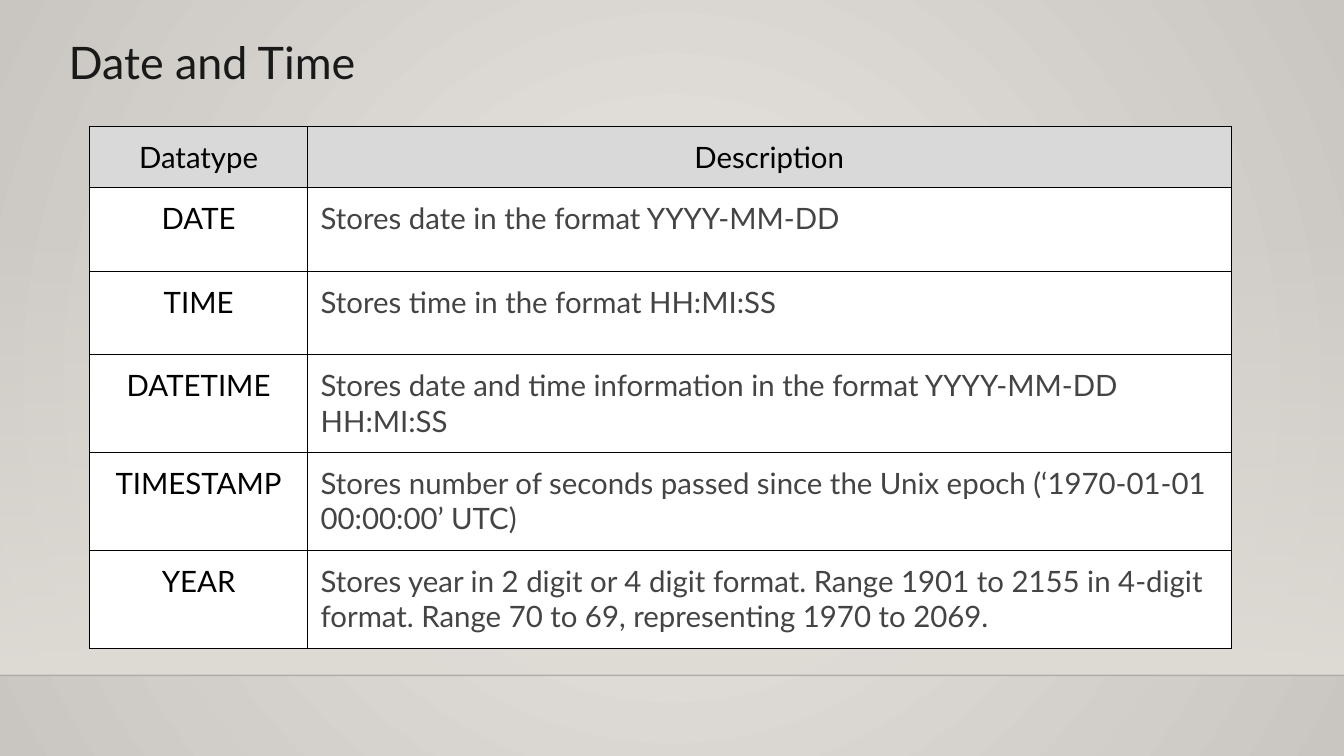
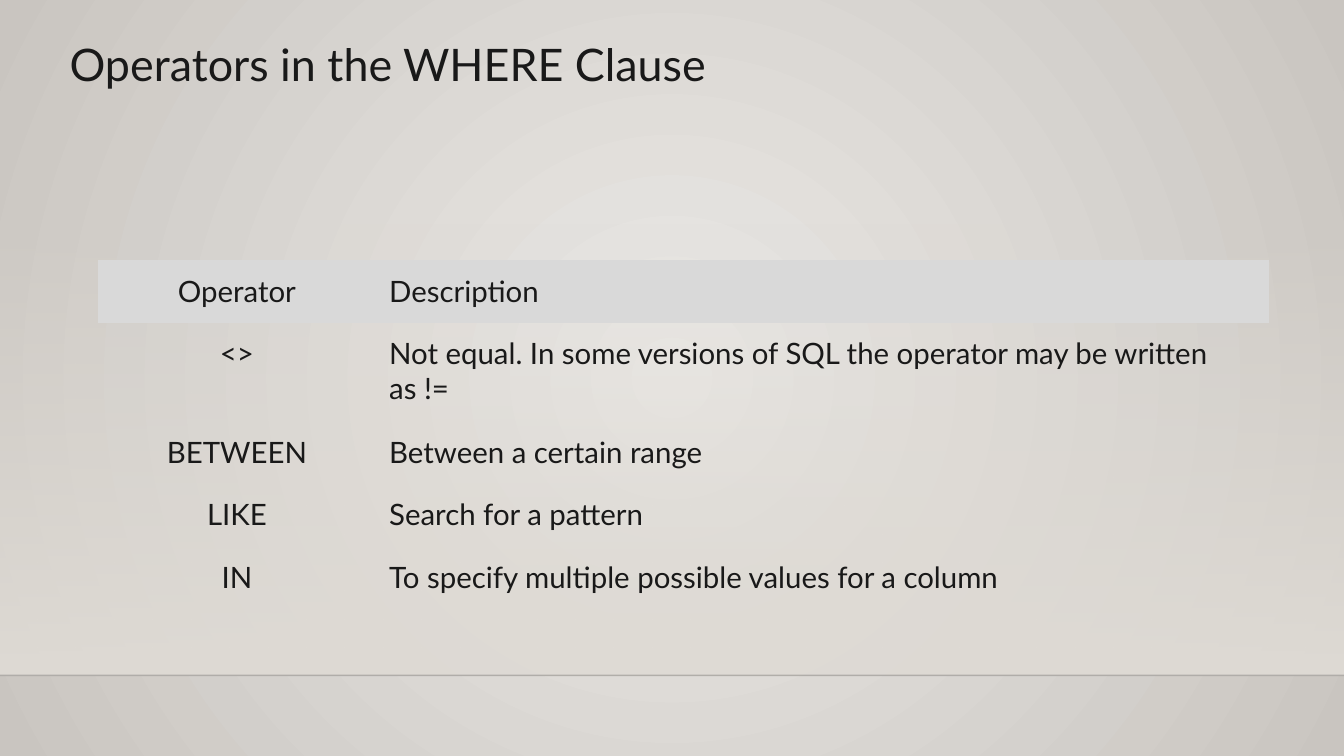
import pptx
import pptx.dml.color
import pptx.enum.shapes
import pptx.enum.text
import pptx.oxml
import pptx.oxml.ns
import pptx.util
from pptx.util import Inches

# Content
SLIDES = [
    {
        "title": "Date and Time",
        "title_at": (0.55, 0.21),
        "table_at": (0.89, 1.25),
        "columns": [2.16, 9.16],
        "rows": [0.61, 0.83, 0.83, 0.97, 0.97, 0.97],
        "header_align": ["CENTER", "CENTER"],
        "text_colors": ["000000", "444444"],
        "header_color": "000000",
        "body_fill": "FFFFFF",
        "border": "000000",
        "cells": [
            ("Datatype", "Description"),
            ("DATE", "Stores date in the format YYYY-MM-DD"),
            ("TIME", "Stores time in the format HH:MI:SS"),
            ("DATETIME", "Stores date and time information in the format YYYY-MM-DD HH:MI:SS"),
            ("TIMESTAMP", "Stores number of seconds passed since the Unix epoch "
                          "(‘1970-01-01 00:00:00’ UTC)"),
            ("YEAR", "Stores year in 2 digit or 4 digit format. Range 1901 to 2155 in "
                     "4-digit format. Range 70 to 69, representing 1970 to 2069."),
        ],
    },
    {
        "title": "Operators in the WHERE Clause",
        "title_at": (0.56, 0.23),
        "table_at": (0.97, 2.58),
        "columns": [2.76, 8.86],
        "rows": [0.62, 0.98, 0.62, 0.62, 0.62],
        "header_align": ["CENTER", "LEFT"],
        "text_colors": ["191919", "191919"],
        "header_color": "191919",
        "body_fill": None,
        "border": None,
        "cells": [
            ("Operator", "Description"),
            ("<>", "Not equal. In some versions of SQL the operator may be written as !="),
            ("BETWEEN", "Between a certain range"),
            ("LIKE", "Search for a pattern"),
            ("IN", "To specify multiple possible values for a column"),
        ],
    },
]

# Shared style
WIDTH, HEIGHT = 13.33, 7.5
FONT = "Lato"
TITLE_COLOR, HEADER_FILL, BAND_COLOR = "191919", "D9D9D9", "DFDBD5"
BAND_TOP, BAND_BOTTOM = 2.21, 6.7
MARGIN = Inches(0.13)
PLAIN_TABLE_STYLE = "{2D5ABB26-0587-4C30-8999-92F81FD0307C}"
CIRCLE = ('<a:path path="circle"><a:fillToRect l="50000" t="50000" '
          'r="50000" b="50000"/></a:path>')
DOWNWARD = '<a:lin ang="5400000" scaled="0"/>'


def rgb(color):
    return pptx.dml.color.RGBColor.from_string(color)


def xml(tag, attributes="", content=""):
    namespace = pptx.oxml.ns.nsdecls("a")
    return pptx.oxml.parse_xml(f"<a:{tag} {namespace} {attributes}>{content}</a:{tag}>")


def set_gradient(fill, parent, stops, direction):
    """Fill with (position, colour, opacity) stops, all but the colour in percent."""
    fill.solid()
    marks = "".join(
        f'<a:gs pos="{position * 1000}"><a:srgbClr val="{color}">'
        f'<a:alpha val="{opacity * 1000}"/></a:srgbClr></a:gs>'
        for position, color, opacity in stops)
    gradient = xml("gradFill", 'rotWithShape="1"', f"<a:gsLst>{marks}</a:gsLst>{direction}")
    solid = next(parent.iter(pptx.oxml.ns.qn("a:solidFill")))
    solid.getparent().replace(solid, gradient)


def set_margins(target):
    target.margin_left = target.margin_right = MARGIN
    target.margin_top = target.margin_bottom = MARGIN


def write(frame, text, size, color, align="LEFT"):
    para = frame.paragraphs[0]
    para.text = text
    para.alignment = getattr(pptx.enum.text.PP_ALIGN, align)
    para.font.name = FONT
    para.font.size = pptx.util.Pt(size)
    para.font.color.rgb = rgb(color)


def add_backdrop(page):
    # Band that fades in towards the floor line
    band = page.shapes.add_shape(
        pptx.enum.shapes.MSO_SHAPE.RECTANGLE, 0, Inches(BAND_TOP),
        Inches(WIDTH), Inches(BAND_BOTTOM - BAND_TOP))
    band.shadow.inherit = False
    band.line.fill.background()
    set_gradient(band.fill, band.element.spPr,
                 [(0, BAND_COLOR, 0), (100, BAND_COLOR, 100)], DOWNWARD)

    # Floor line
    floor = page.shapes.add_connector(
        pptx.enum.shapes.MSO_CONNECTOR.STRAIGHT, 0, Inches(BAND_BOTTOM),
        Inches(WIDTH), Inches(BAND_BOTTOM))
    floor.line.width = pptx.util.Pt(1)
    floor.line.color.rgb = rgb("000001")
    color = next(floor.element.spPr.iter(pptx.oxml.ns.qn("a:srgbClr")))
    color.append(xml("alpha", 'val="20000"'))
    floor.element.spPr.append(xml("effectLst"))


def add_title(page, text, at):
    left, top = at
    box = page.shapes.add_textbox(Inches(left), Inches(top), Inches(10.86), Inches(0.77))
    box.text_frame.word_wrap = True
    set_margins(box.text_frame)
    write(box.text_frame, text, 32, TITLE_COLOR)


def add_borders(cell, color):
    properties = cell._tc.get_or_add_tcPr()
    for index, side in enumerate(("lnL", "lnR", "lnT", "lnB")):
        line = xml(side, f'w="{pptx.util.Pt(0.75)}"',
                   f'<a:solidFill><a:srgbClr val="{color}"/></a:solidFill>')
        properties.insert(index, line)


def add_table(page, content):
    left, top = content["table_at"]
    columns, rows = content["columns"], content["rows"]
    frame = page.shapes.add_table(
        len(rows), len(columns), Inches(left), Inches(top),
        Inches(sum(columns)), Inches(sum(rows)))
    table = frame.table
    table.first_row = table.horz_banding = False
    next(frame.element.iter(pptx.oxml.ns.qn("a:tableStyleId"))).text = PLAIN_TABLE_STYLE
    for column, width in zip(table.columns, columns):
        column.width = Inches(width)
    for row, height in zip(table.rows, rows):
        row.height = Inches(height)

    for row_index, texts in enumerate(content["cells"]):
        is_header = row_index == 0
        aligns = content["header_align"] if is_header else ["CENTER", "LEFT"]
        fill = HEADER_FILL if is_header else content["body_fill"]
        for column_index, text in enumerate(texts):
            cell = table.cell(row_index, column_index)
            color = content["header_color"] if is_header else content["text_colors"][column_index]
            set_margins(cell)
            write(cell.text_frame, text, 21, color, aligns[column_index])
            if fill:
                cell.fill.solid()
                cell.fill.fore_color.rgb = rgb(fill)
            else:
                cell.fill.background()
            if content["border"]:
                add_borders(cell, content["border"])


def main():
    deck = pptx.Presentation()
    deck.slide_width, deck.slide_height = Inches(WIDTH), Inches(HEIGHT)
    master = deck.slide_master
    set_gradient(master.background.fill, master.element.cSld,
                 [(0, "EBE9E6", 100), (100, "C9C5C0", 100)], CIRCLE)
    for content in SLIDES:
        page = deck.slides.add_slide(deck.slide_layouts[6])
        add_backdrop(page)
        add_title(page, content["title"], content["title_at"])
        add_table(page, content)
    deck.save("out.pptx")


if __name__ == "__main__":
    main()
